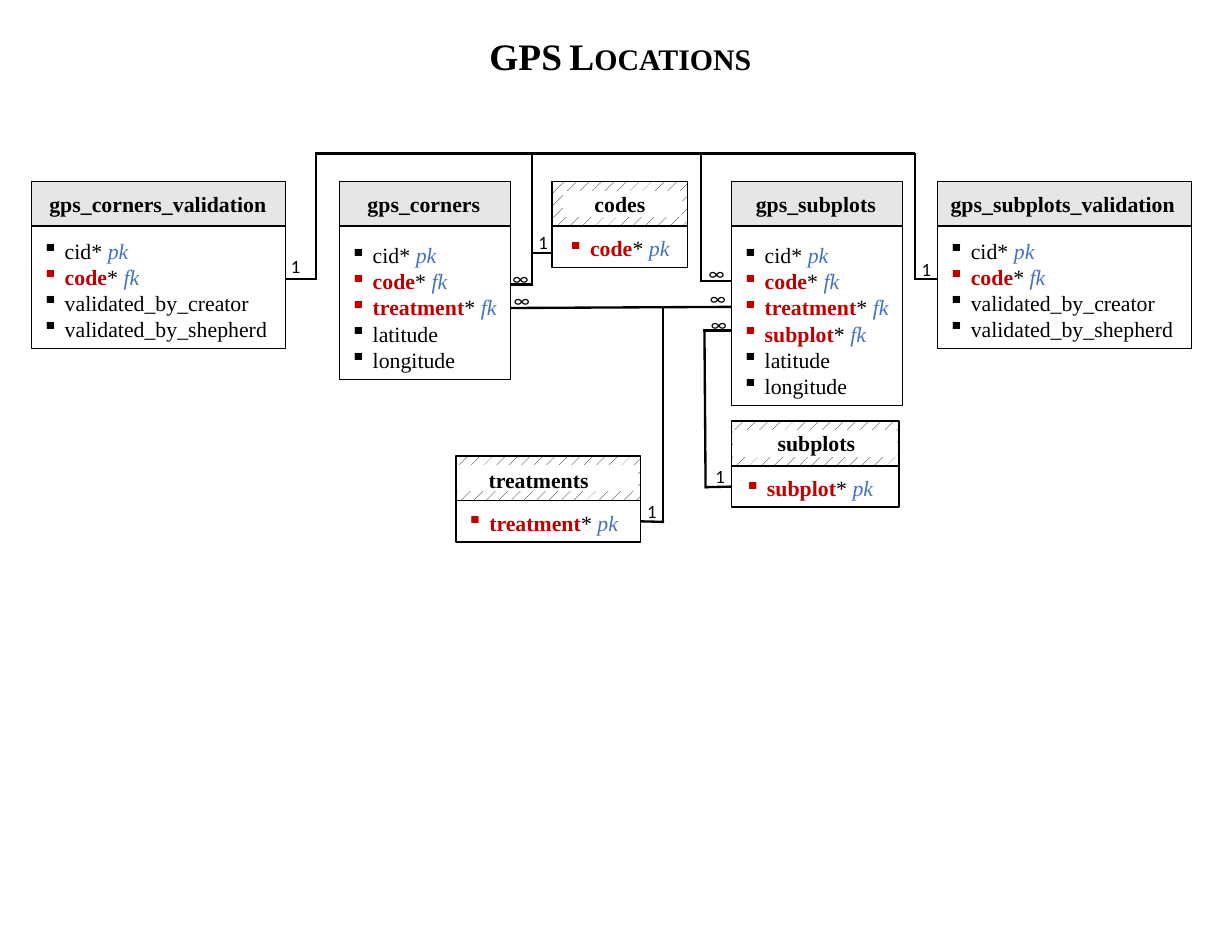
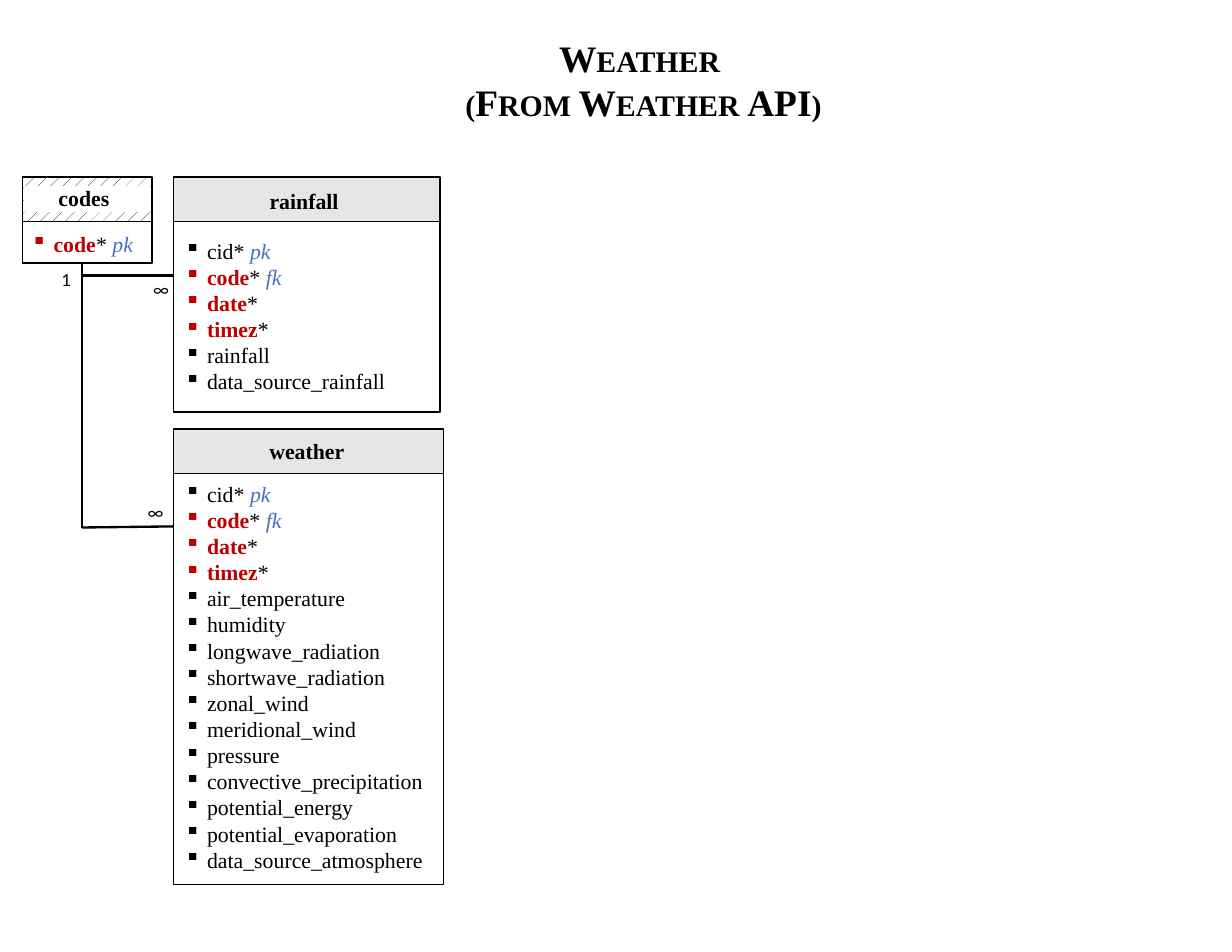
"""Build two database schema slides: GPS locations and weather."""
import collections

import pptx
import pptx.dml.color
import pptx.enum.dml
import pptx.enum.shapes
import pptx.enum.text
import pptx.oxml.ns
import pptx.util
from lxml import etree

Inches = pptx.util.Inches
RGB = pptx.dml.color.RGBColor.from_string
ALIGN = pptx.enum.text.PP_ALIGN
THEME = {
    "black": RGB("000000"), "white": RGB("FFFFFF"), "header": RGB("E7E6E6"),
    "key": RGB("C00000"), "note": RGB("4472C4"),
    "serif": "Times New Roman", "sans": "Calibri",
    "title": 24, "body": 14, "label": 12, "box_line": 1, "link_line": 1.5,
}
HEAD_H, ROW_H, INDENT = 0.4, 0.235, 0.2

# name, box x/y/w, body height, heading (x, y, w), list (x, y, w), mask (x, w), fields
Table = collections.namedtuple("Table", "name x y w body_h head rows mask fields")
KEYS = ["cid* pk", "code* fk"]
VALIDATION = KEYS + ["validated_by_creator", "validated_by_shepherd"]
PLACE = ["latitude", "longitude"]
TIMED = KEYS + ["date*", "timez*"]

SLIDES = [
    {
        "title": ["GPS Locations"],
        "title_at": (0.04, 0.25, 11, 0.5),
        "tables": [
            Table("treatments", 4.07, 4.07, 1.65, 0.37, (4.08, 4.12, 1.46),
                  (4.07, 4.5, 1.65), (4.09, 1.6), ["treatment* pk"]),
            Table("subplots", 6.53, 3.76, 1.5, 0.37, (6.56, 3.79, 1.46),
                  (6.55, 4.19, 1.5), (6.55, 1.45), ["subplot* pk"]),
            Table("gps_subplots", 6.53, 1.62, 1.53, 1.6, (6.52, 1.65, 1.53),
                  (6.53, 2.11, 1.53), None, KEYS + ["treatment* fk", "subplot* fk"] + PLACE),
            Table("gps_corners", 3.03, 1.62, 1.53, 1.37, (3.02, 1.65, 1.53),
                  (3.03, 2.11, 1.53), None, KEYS + ["treatment* fk"] + PLACE),
            Table("gps_subplots_validation", 8.37, 1.62, 2.27, 1.09, (8.35, 1.65, 2.28),
                  (8.37, 2.07, 2.44), None, VALIDATION),
            Table("gps_corners_validation", 0.28, 1.62, 2.27, 1.09, (0.27, 1.65, 2.28),
                  (0.28, 2.07, 2.44), None, VALIDATION),
            Table("codes", 4.93, 1.62, 1.21, 0.37, (4.93, 1.65, 1.21),
                  (4.97, 2.05, 1.31), (5.03, 1.05), ["code* pk"]),
        ],
        "links": [
            (2.82, 1.37, 8.17, 1.37, None), (2.82, 1.36, 2.82, 2.5, None),
            (2.55, 2.49, 2.82, 2.49, None), (8.17, 1.37, 8.17, 2.5, None),
            (8.16, 2.49, 8.37, 2.49, None), (4.75, 1.37, 4.75, 2.55, None),
            (4.56, 2.54, 4.76, 2.54, None), (4.75, 2.26, 4.93, 2.26, None),
            (6.26, 1.37, 6.26, 2.51, None), (6.25, 2.51, 6.53, 2.51, None),
            (4.56, 2.75, 6.53, 2.74, None), (5.92, 2.74, 5.92, 4.67, None),
            (5.72, 4.66, 5.93, 4.66, ("treatments", 3)),
            (6.53, 4.35, 6.3, 4.35, ("subplots", 1)),
            (6.29, 2.95, 6.3, 4.36, None), (6.53, 2.95, 6.28, 2.95, None),
        ],
        "labels": [
            ("1", 4.71, 2.01), ("1", 2.5, 2.23), ("1", 8.13, 2.25),
            ("1", 5.68, 4.41), ("1", 6.29, 4.1), ("∞", 4.48, 2.33),
            ("∞", 6.23, 2.29), ("∞", 6.24, 2.51), ("∞", 4.49, 2.53), ("∞", 6.25, 2.74),
        ],
    },
    {
        "title": ["Weather ", "(From Weather API)"],
        "title_at": (3.42, 0.26, 4.65, 0.91),
        "tables": [
            Table("codes", 0.2, 1.58, 1.16, 0.37, (0.35, 1.6, 0.8),
                  (0.18, 2.01, 1.31), (0.22, 1.12), ["code* pk"]),
            Table("weather", 1.55, 3.83, 2.41, 3.67, (1.67, 3.86, 2.14),
                  (1.55, 4.24, 2.58), None, TIMED + [
                      "air_temperature", "humidity", "longwave_radiation",
                      "shortwave_radiation", "zonal_wind", "meridional_wind", "pressure",
                      "convective_precipitation", "potential_energy",
                      "potential_evaporation", "data_source_atmosphere"]),
            Table("rainfall", 1.55, 1.58, 2.38, 1.7, (1.64, 1.63, 2.15),
                  (1.55, 2.07, 2.55), None, TIMED + ["rainfall", "data_source_rainfall"]),
        ],
        "links": [
            (0.73, 2.35, 0.73, 4.71, None), (1.55, 2.46, 0.73, 2.46, None),
            (1.55, 4.7, 0.73, 4.71, None),
        ],
        "labels": [("1", 0.45, 2.34), ("∞", 1.22, 4.42), ("∞", 1.27, 2.43)],
    },
]


def add_box(slide, x, y, w, h, fill, line="black"):
    """Add a rectangle; a fill of None gives the dotted pattern."""
    sp = slide.shapes.add_shape(pptx.enum.shapes.MSO_SHAPE.RECTANGLE,
                                Inches(x), Inches(y), Inches(w), Inches(h))
    sp.shadow.inherit = False
    if fill:
        sp.fill.solid()
        sp.fill.fore_color.rgb = THEME[fill]
    else:
        sp.fill.patterned()
        sp.fill.pattern = pptx.enum.dml.MSO_PATTERN.PERCENT_10
        sp.fill.fore_color.rgb = THEME["black"]
        sp.fill.back_color.rgb = THEME["white"]
    sp.line.color.rgb = THEME[line]
    sp.line.width = pptx.util.Pt(THEME["box_line"])
    return sp


def add_text(slide, at, paragraphs, size, font="serif", align=ALIGN.LEFT, sp=None):
    """Write paragraphs of (text, colour, bold, italic) runs in a text box or in sp."""
    x, y, w, h = map(Inches, at)
    sp = sp or slide.shapes.add_textbox(x, y, w, h)
    sp.left, sp.top, sp.width, sp.height = x, y, w, h
    tf = sp.text_frame
    tf.word_wrap = True
    tf.auto_size = pptx.enum.text.MSO_AUTO_SIZE.SHAPE_TO_FIT_TEXT
    tf.vertical_anchor = pptx.enum.text.MSO_ANCHOR.TOP
    for i, runs in enumerate(paragraphs):
        p = tf.add_paragraph() if i else tf.paragraphs[0]
        p.alignment = align
        for text, color, bold, italic in runs:
            r = p.add_run()
            r.text = text
            r.font.name = THEME[font]
            r.font.size = pptx.util.Pt(THEME[size])
            r.font.color.rgb = THEME[color]
            r.font.bold, r.font.italic = bold, italic
    return tf


prs = pptx.Presentation()
prs.slide_width, prs.slide_height = Inches(11), Inches(8.5)

for content in SLIDES:
    slide = prs.slides.add_slide(prs.slide_layouts[5])
    lines = [[(text, "black", True, False)] for text in content["title"]]
    tf = add_text(slide, content["title_at"], lines, "title",
                  align=ALIGN.CENTER, sp=slide.shapes.title)
    for p in tf.paragraphs:
        for r in p.runs:
            r.font._element.set("cap", "small")

    bodies = {}
    for t in content["tables"]:
        add_box(slide, t.x, t.y, t.w, HEAD_H, None if t.mask else "header")
        if t.mask:
            add_box(slide, t.mask[0], t.y + 0.09, t.mask[1], 0.22, "white", "white")
        add_text(slide, (*t.head, 0.34), [[(t.name, "black", True, False)]],
                 "body", align=ALIGN.CENTER)
        bodies[t.name] = add_box(slide, t.x, t.y + HEAD_H, t.w, t.body_h, "white")
        rows = []
        for field in t.fields:
            name, star, note = field.partition("*")
            is_key = bool(star) and name != "cid"
            runs = [(name, "key" if is_key else "black", is_key, False)]
            if star:
                runs.append(("* " if note else "*", "black", False, False))
            if note:
                runs.append((note.strip(), "note", False, True))
            rows.append(runs)
        x, y, w = t.rows
        tf = add_text(slide, (x, y, w, 0.1 + ROW_H * len(rows)), rows, "body")
        for p in tf.paragraphs:
            pPr = p._p.get_or_add_pPr()
            pPr.set("marL", str(Inches(INDENT)))
            pPr.set("indent", str(-Inches(INDENT)))
            etree.SubElement(pPr, pptx.oxml.ns.qn("a:buChar")).set("char", "▪")

    for x1, y1, x2, y2, joint in content["links"]:
        cx = slide.shapes.add_connector(pptx.enum.shapes.MSO_CONNECTOR.STRAIGHT,
                                        Inches(x1), Inches(y1), Inches(x2), Inches(y2))
        cx.line.color.rgb = THEME["black"]
        cx.line.width = pptx.util.Pt(THEME["link_line"])
        etree.SubElement(cx._element.spPr, pptx.oxml.ns.qn("a:effectLst"))
        if joint:
            cx.begin_connect(bodies[joint[0]], joint[1])

    for text, x, y in content["labels"]:
        add_text(slide, (x, y, 0.4, 0.3), [[(text, "black", False, False)]], "label", "sans")

prs.save("out.pptx")
